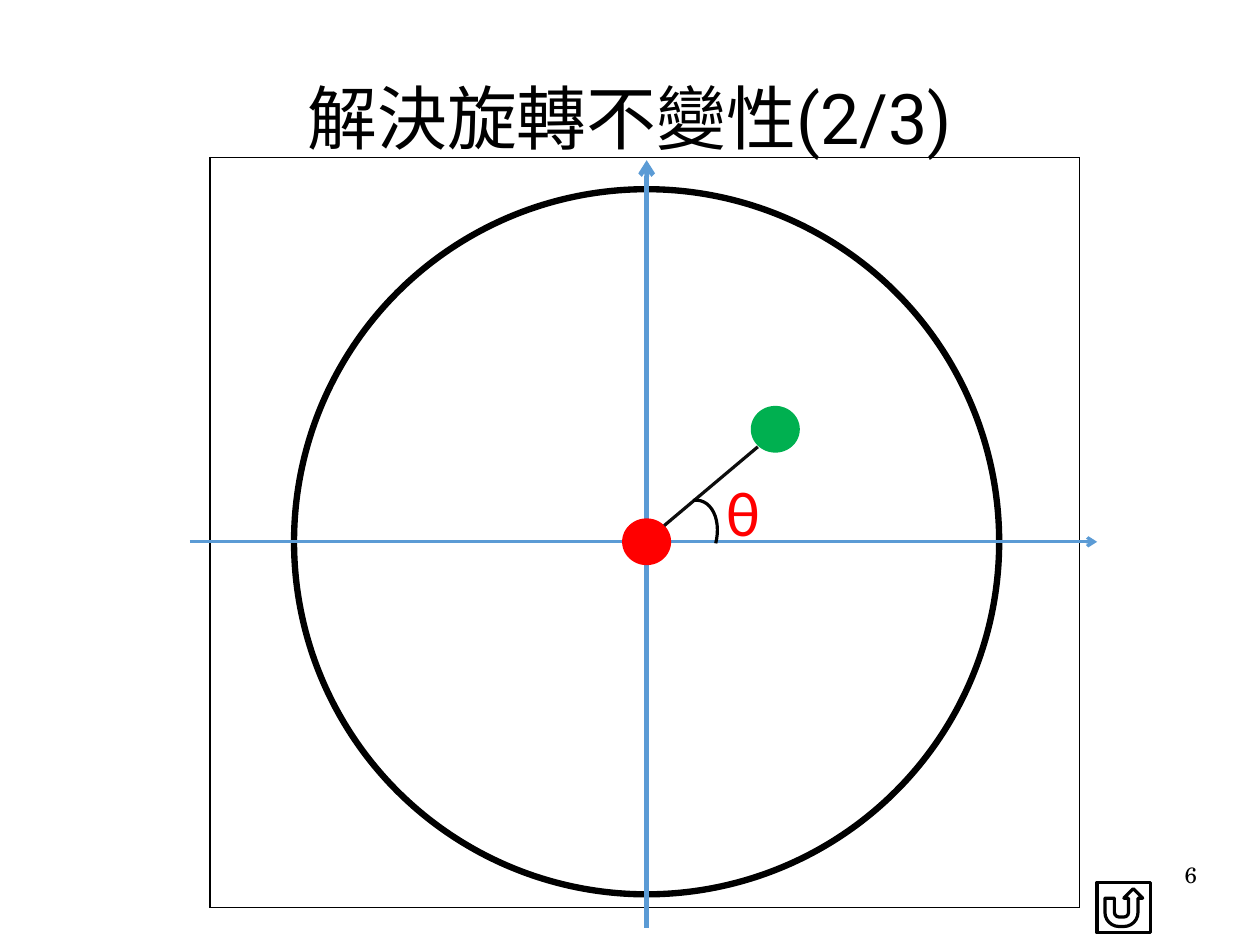
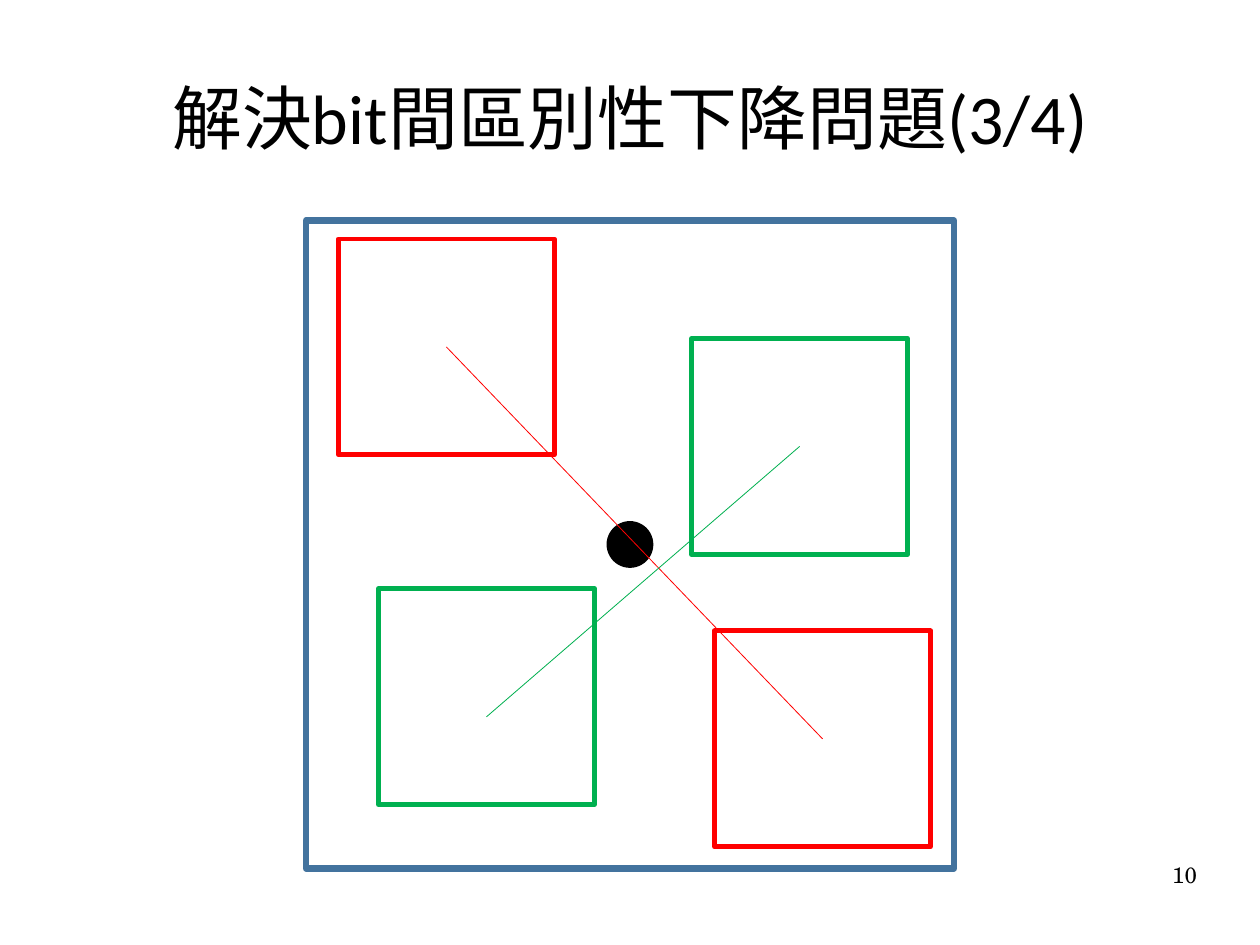
"""Build two slides on rotation invariance and bit distinctiveness."""
from lxml.etree import SubElement
from pptx import Presentation
from pptx.dml.color import RGBColor
from pptx.enum.shapes import MSO_CONNECTOR, MSO_SHAPE
from pptx.enum.text import MSO_ANCHOR, PP_ALIGN
from pptx.oxml.ns import qn
from pptx.util import Cm, Pt

COLORS = {
    "black": "000000",
    "ray": "0D0D0D",
    "axis": "5B9BD5",
    "frame": "43739E",
    "red": "FF0000",
    "green": "00B050",
}
TITLE_FONT, LATIN_FONT, NUMBER_FONT = "Roboto", "Calibri", "TeX Gyre Schola"


def add_text(slide, box, runs, size, color="black", align=PP_ALIGN.LEFT,
             anchor=MSO_ANCHOR.TOP, inset=None, wrap=True):
    frame = slide.shapes.add_textbox(*map(Cm, box)).text_frame
    frame.word_wrap = wrap
    frame.vertical_anchor = anchor
    if inset is not None:
        frame.margin_left = frame.margin_right = Cm(inset)
        frame.margin_top = frame.margin_bottom = Cm(inset)
    paragraph = frame.paragraphs[0]
    paragraph.alignment = align
    for text, font in runs:
        run = paragraph.add_run()
        run.text = text
        run.font.name = font
        run.font.size = Pt(size)
        run.font.color.rgb = RGBColor.from_string(COLORS[color])


def style(shape, fill=None, line=None, width=1, arrow=False):
    if fill:
        shape.fill.solid()
        shape.fill.fore_color.rgb = RGBColor.from_string(COLORS[fill])
    elif hasattr(shape, "fill"):
        shape.fill.background()
    if line:
        shape.line.color.rgb = RGBColor.from_string(COLORS[line])
        shape.line.width = Pt(width)
    else:
        shape.line.fill.background()
    properties = shape._element.spPr
    if arrow:
        SubElement(properties.find(qn("a:ln")), qn("a:tailEnd"), type="arrow")
    SubElement(properties, qn("a:effectLst"))


presentation = Presentation()
presentation.slide_width, presentation.slide_height = Cm(28), Cm(21)

rotation, squares = [
    presentation.slides.add_slide(presentation.slide_layouts[6]) for _ in range(2)
]

GRID = 7
COLUMN, ROW = 2.76, 2.38
table = rotation.shapes.add_table(
    GRID, GRID, Cm(4.67), Cm(3.5), Cm(GRID * COLUMN), Cm(GRID * ROW)
).table
table.first_row = table.horz_banding = False
for column in table.columns:
    column.width = Cm(COLUMN)
for row in table.rows:
    row.height = Cm(ROW)
for row in range(GRID):
    for column in range(GRID):
        cell = table.cell(row, column)
        properties = cell._tc.get_or_add_tcPr()
        edges = {"L": column == 0, "R": column == GRID - 1,
                 "T": row == 0, "B": row == GRID - 1}
        for side, outer in edges.items():
            border = SubElement(properties, qn(f"a:ln{side}"), w=str(Pt(1)))
            if outer:
                solid = SubElement(border, qn("a:solidFill"))
                SubElement(solid, qn("a:srgbClr"), val=COLORS["black"])
            else:
                SubElement(border, qn("a:noFill"))
        cell.fill.background()

pages = [
    (rotation, "6", [("解決旋轉不變性(2/3)", TITLE_FONT)]),
    (squares, "10", [("解決", TITLE_FONT), ("bit", LATIN_FONT),
                     ("間區別性下降問題", TITLE_FONT), ("(3/4)", LATIN_FONT)]),
]
for slide, number, title in pages:
    add_text(slide, (1.4, 0.84, 25.2, 3.5), title, 44, align=PP_ALIGN.CENTER,
             anchor=MSO_ANCHOR.MIDDLE, inset=0)
    add_text(slide, (20.07, 19.13, 6.53, 1.45), [(number, NUMBER_FONT)], 14,
             align=PP_ALIGN.RIGHT, inset=0)

CENTER_X, CENTER_Y = 14.37, 12.04
DIAMETER = 15.67
circle = rotation.shapes.add_shape(
    MSO_SHAPE.OVAL, Cm(CENTER_X - DIAMETER / 2), Cm(CENTER_Y - DIAMETER / 2),
    Cm(DIAMETER), Cm(DIAMETER))
style(circle, line="black", width=4)

axes = [
    ((CENTER_X, 20.62, CENTER_X, 3.56), 3),
    ((4.22, CENTER_Y, 24.38, CENTER_Y), 2),
]
for ends, width in axes:
    axis = rotation.shapes.add_connector(MSO_CONNECTOR.STRAIGHT, *map(Cm, ends))
    style(axis, line="axis", width=width, arrow=True)

DOT_WIDTH, DOT_HEIGHT = 1.09, 1.04
for x, y, color in [(CENTER_X, CENTER_Y, "red"), (17.23, 9.54, "green")]:
    dot = rotation.shapes.add_shape(
        MSO_SHAPE.OVAL, Cm(x - DOT_WIDTH / 2), Cm(y - DOT_HEIGHT / 2),
        Cm(DOT_WIDTH), Cm(DOT_HEIGHT))
    style(dot, fill=color)

ray = rotation.shapes.add_connector(
    MSO_CONNECTOR.STRAIGHT, Cm(14.76), Cm(11.68), Cm(16.84), Cm(9.93))
style(ray, line="ray", width=2)
add_text(rotation, (15.9, 10.39, 1.27, 1.96), [("θ", LATIN_FONT)], 40,
         color="red", wrap=False)

angle = rotation.shapes.add_shape(
    MSO_SHAPE.ARC, Cm(14.78), Cm(11.1), Cm(1.14), Cm(1.7))
angle.rotation = 15.1
angle.adjustments[0], angle.adjustments[1] = 155.09, 214.61
style(angle, line="black", width=2)

return_button = rotation.shapes.add_shape(
    MSO_SHAPE.ACTION_BUTTON_RETURN, Cm(24.38), Cm(19.61), Cm(1.19), Cm(1.12))
style(return_button, line="black", width=2)

MIDDLE_X, MIDDLE_Y = 14, 12.1
for kind, size, look in [
    (MSO_SHAPE.RECTANGLE, 14.4, {"line": "frame", "width": 4}),
    (MSO_SHAPE.OVAL, 1.04, {"fill": "black"}),
]:
    shape = squares.shapes.add_shape(
        kind, Cm(MIDDLE_X - size / 2), Cm(MIDDLE_Y - size / 2), Cm(size), Cm(size))
    style(shape, **look)

SIDE = 4.8
pairs = [
    ("red", [(9.92, 7.71), (18.28, 16.42)], (9.92, 7.71, 18.28, 16.42)),
    ("green", [(10.81, 15.48), (17.77, 9.92)], (17.77, 9.92, 10.81, 15.93)),
]
for color, centers, ends in pairs:
    for x, y in centers:
        square = squares.shapes.add_shape(
            MSO_SHAPE.RECTANGLE, Cm(x - SIDE / 2), Cm(y - SIDE / 2), Cm(SIDE), Cm(SIDE))
        style(square, line=color, width=3)
    link = squares.shapes.add_connector(MSO_CONNECTOR.STRAIGHT, *map(Cm, ends))
    style(link, line=color, width=0.5)

presentation.save("out.pptx")
